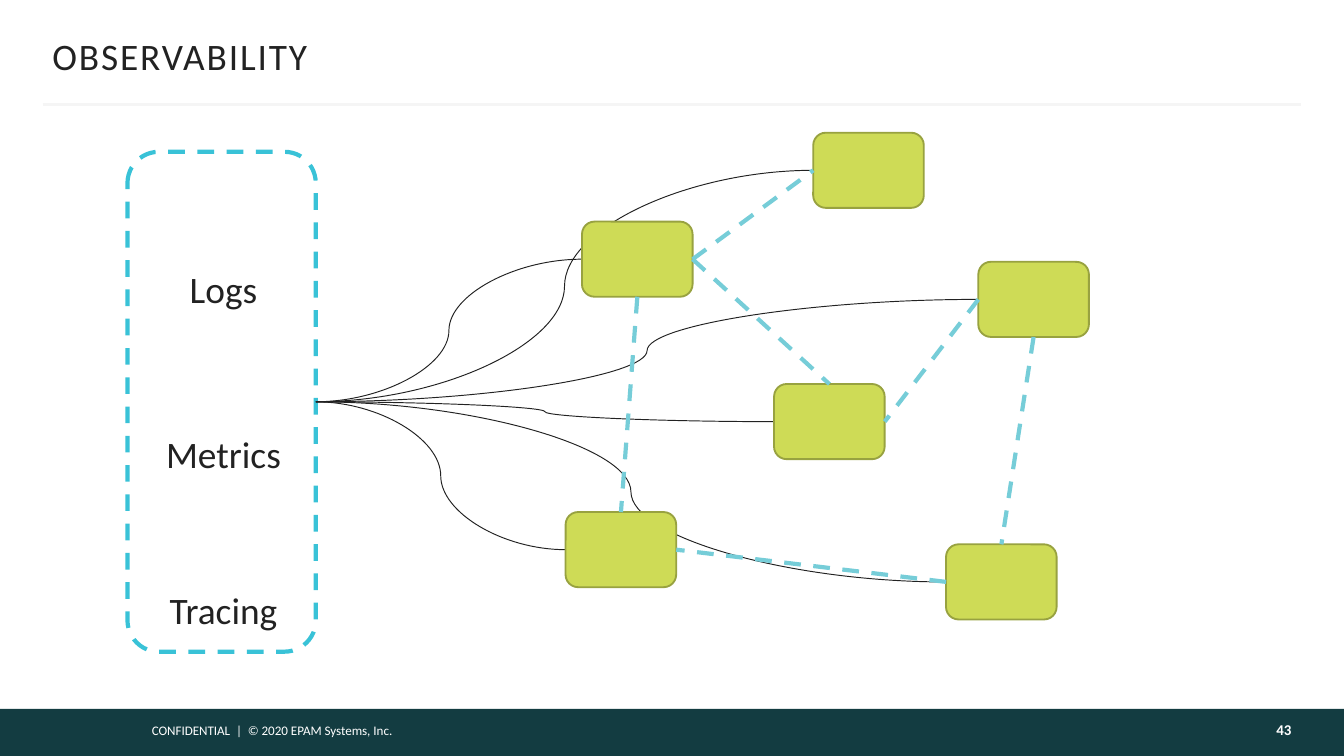
from lxml.etree import SubElement
from pptx import Presentation
from pptx.dml.color import RGBColor
from pptx.enum.dml import MSO_LINE_DASH_STYLE as Dash
from pptx.enum.shapes import MSO_CONNECTOR as Connector, MSO_SHAPE as Shape
from pptx.enum.text import MSO_ANCHOR as Anchor, PP_ALIGN as Align
from pptx.oxml.ns import qn
from pptx.util import Cm, Pt

COLORS = {
    "ink": "222222", "white": "FFFFFF", "number": "FEFEFE", "footer": "133C41",
    "rule": "F5F5F5", "node": "CEDB56", "node_edge": "98A240",
    "link": "76CDD8", "panel_edge": "39C2D7",
}
TOP, LEFT, BOTTOM, RIGHT = range(4)

presentation = Presentation()
presentation.slide_width = Cm(25.4)
presentation.slide_height = Cm(14.29)
slide = presentation.slides.add_slide(presentation.slide_layouts[6])
shapes = slide.shapes


def add_text(text, left, top, width, height, size, color="ink",
             align=Align.LEFT, anchor=Anchor.TOP):
    box = shapes.add_textbox(Cm(left), Cm(top), Cm(width), Cm(height))
    frame = box.text_frame
    frame.word_wrap = True
    frame.vertical_anchor = anchor
    frame.text = text
    paragraph = frame.paragraphs[0]
    paragraph.alignment = align
    font = paragraph.runs[0].font
    font.name = "Calibri"
    font.size = Pt(size)
    font.color.rgb = RGBColor.from_string(COLORS[color])
    return frame


def style_line(item, color, width, dash=None):
    item.line.color.rgb = RGBColor.from_string(COLORS[color])
    item.line.width = Pt(width)
    if dash:
        item.line.dash_style = dash
    if item.element.tag == qn("p:cxnSp"):
        SubElement(item.element.spPr, qn("a:effectLst"))
    else:
        item.shadow.inherit = False


footer = shapes.add_shape(Shape.RECTANGLE, 0, Cm(13.4), Cm(25.4), Cm(0.89))
footer.fill.solid()
footer.fill.fore_color.rgb = RGBColor.from_string(COLORS["footer"])
footer.line.fill.background()
footer.shadow.inherit = False
add_text("CONFIDENTIAL  |  © 2020 EPAM Systems, Inc.",
         2.62, 13.54, 6.73, 0.55, 7, "white")
number = add_text("43", 20.6, 13.4, 3.81, 0.89, 8, "number", Align.RIGHT, Anchor.MIDDLE)
number.margin_right = 0
number.margin_bottom = Cm(0.23)
number.paragraphs[0].runs[0].font.bold = True

rule = shapes.add_connector(Connector.STRAIGHT, Cm(0.81), Cm(1.98), Cm(24.59), Cm(1.98))
style_line(rule, "rule", 1.5)
title = add_text("OBSERVABILITY", 0.99, 0.64, 23.42, 0.84, 20, anchor=Anchor.MIDDLE)
title.margin_left = title.margin_right = 0
title.paragraphs[0].runs[0].font._element.set("spc", "100")

panel = shapes.add_shape(Shape.ROUNDED_RECTANGLE, Cm(2.41), Cm(2.87), Cm(3.56), Cm(9.45))
panel.fill.solid()
panel.fill.fore_color.rgb = RGBColor.from_string(COLORS["white"])
style_line(panel, "panel_edge", 2.25, Dash.DASH)
for label, top in (("Logs", 4.9), ("Metrics", 8.03), ("Tracing", 10.97)):
    add_text(label, 2.84, top, 2.77, 1.12, 20, align=Align.CENTER)

node_positions = {
    "upper_left": (11, 4.19),
    "right": (18.49, 4.95),
    "lower_left": (10.69, 9.68),
    "lower_right": (17.88, 10.29),
    "center": (14.63, 7.26),
    "top": (15.37, 2.51),
}
nodes = {}
for name, (left, top) in node_positions.items():
    node = shapes.add_shape(Shape.ROUNDED_RECTANGLE, Cm(left), Cm(top), Cm(2.09), Cm(1.42))
    node.fill.solid()
    node.fill.fore_color.rgb = RGBColor.from_string(COLORS["node"])
    style_line(node, "node_edge", 1)
    nodes[name] = node

for node in nodes.values():
    curve = shapes.add_connector(Connector.CURVE, 0, 0, 0, 0)
    curve.begin_connect(panel, RIGHT)
    curve.end_connect(node, LEFT)
    style_line(curve, "ink", 0.5)
    nodes["upper_left"].element.addprevious(curve.element)

links = [
    ("upper_left", RIGHT, "top", LEFT),
    ("upper_left", RIGHT, "center", TOP),
    ("right", LEFT, "center", RIGHT),
    ("right", BOTTOM, "lower_right", TOP),
    ("lower_right", LEFT, "lower_left", RIGHT),
    ("upper_left", BOTTOM, "lower_left", TOP),
]
for start, start_side, end, end_side in links:
    link = shapes.add_connector(Connector.STRAIGHT, 0, 0, 0, 0)
    link.begin_connect(nodes[start], start_side)
    link.end_connect(nodes[end], end_side)
    style_line(link, "link", 2.25, Dash.DASH)

presentation.save("out.pptx")
